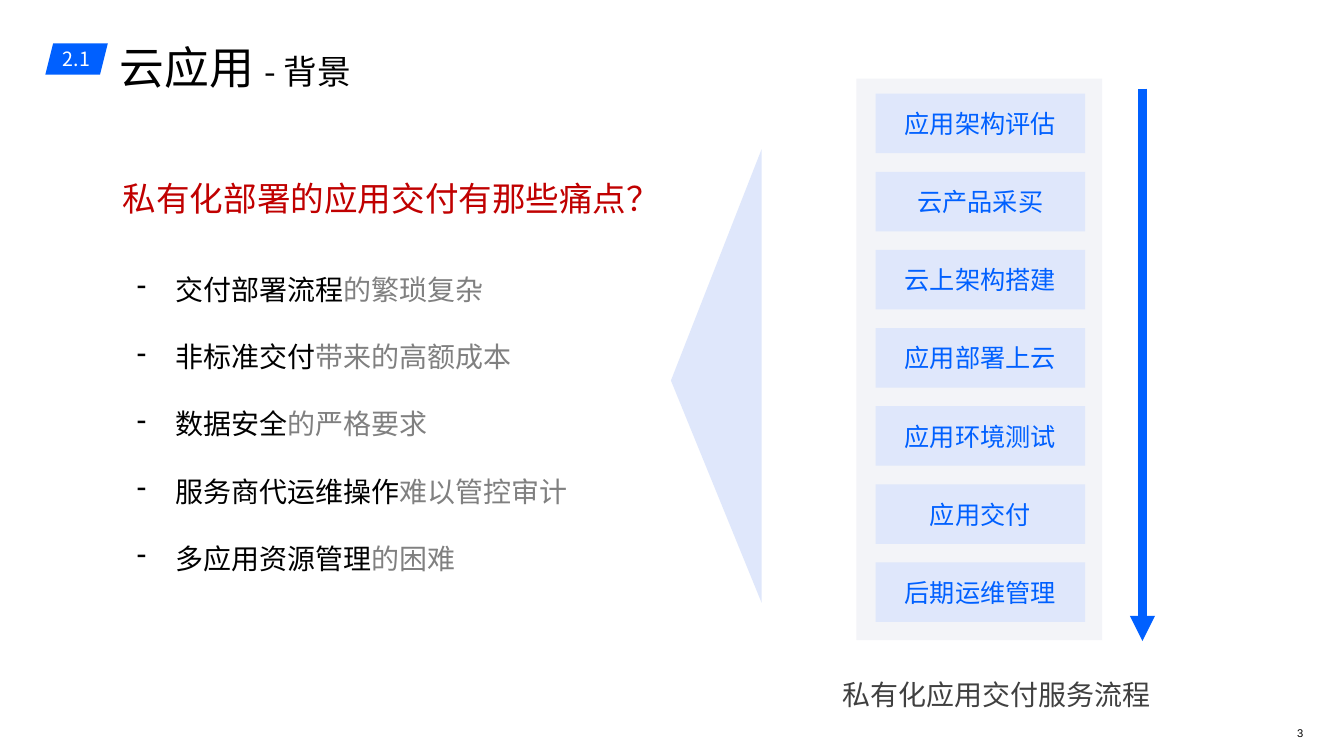
from lxml.etree import SubElement
from pptx import Presentation
from pptx.dml.color import RGBColor
from pptx.enum.shapes import MSO_CONNECTOR, MSO_SHAPE
from pptx.enum.text import MSO_ANCHOR, MSO_AUTO_SIZE, PP_ALIGN
from pptx.oxml.ns import qn
from pptx.util import Inches, Pt

BLUE, PALE, BLACK, GRAY = "0060FF", "DFE7FB", "000000", "808080"
CJK = "Noto Sans CJK JP"


def write(tf, paragraphs, inset=(0.1, 0.05), align=PP_ALIGN.LEFT, spacing=1.0,
          anchor=MSO_ANCHOR.TOP, fit=MSO_AUTO_SIZE.SHAPE_TO_FIT_TEXT,
          wrap=True, font=CJK, bullet=None):
    x, y = map(Inches, inset)
    frame = {"margin_left": x, "margin_right": x, "margin_top": y, "margin_bottom": y,
             "vertical_anchor": anchor, "auto_size": fit, "word_wrap": wrap}
    for name, value in frame.items():
        setattr(tf, name, value)
    for i, runs in enumerate(paragraphs):
        p = tf.add_paragraph() if i else tf.paragraphs[0]
        p.alignment, p.line_spacing = align, spacing
        if bullet:
            pPr = p._p.get_or_add_pPr()
            pPr.set("marL", str(Inches(0.38)))
            pPr.set("indent", str(-Inches(0.38)))
            SubElement(pPr, qn("a:buChar"), char=bullet)
        for text, size, color in runs:
            r = p.add_run()
            r.text = text
            for name, value in {"size": Pt(size), "name": font, "bold": False}.items():
                setattr(r.font, name, value)
            r.font.color.rgb = RGBColor.from_string(color)
            SubElement(r._r.get_or_add_rPr(), qn("a:ea"), typeface=font)


def block(kind, box, fill):
    sp = s.shapes.add_shape(kind, *map(Inches, box))
    sp.shadow.inherit = False
    sp.fill.solid()
    sp.fill.fore_color.rgb = RGBColor.from_string(fill)
    sp.line.fill.background()
    return sp


prs = Presentation()
prs.slide_width, prs.slide_height = Inches(13.34), Inches(7.5)
s = prs.slides.add_slide(prs.slide_layouts[5])

title = s.shapes.title
title.left, title.top, title.width, title.height = map(Inches, (1.19, 0.29, 4.67, 0.6))
write(title.text_frame, [[("云应用 ", 32, BLACK), ("- 背景", 24, BLACK)]],
      inset=(0, 0), spacing=1.2)

label = {"inset": (0.06, 0.06), "align": PP_ALIGN.CENTER,
         "anchor": MSO_ANCHOR.MIDDLE, "fit": MSO_AUTO_SIZE.NONE}
badge = block(MSO_SHAPE.PARALLELOGRAM, (0.45, 0.43, 0.62, 0.31), BLUE)
write(badge.text_frame, [[("2.1", 14, "FFFFFF")]], **label)

pains = [("交付部署流程", "的繁琐复杂"),
         ("非标准交付", "带来的高额成本"),
         ("数据安全", "的严格要求"),
         ("服务商代运维操作", "难以管控审计"),
         ("多应用资源管理", "的困难")]
texts = [
    ((1.12, 1.52, 5.55, 0.64), [[("私有化部署的应用交付有那些痛点？", 24, "C00000")]],
     {"spacing": 1.5}),
    ((1.26, 2.32, 6.3, 4.16), [[(a, 20, BLACK), (b, 20, GRAY)] for a, b in pains],
     {"spacing": 2.0, "bullet": "-"}),
    ((7.56, 6.51, 4.66, 0.55), [[("私有化应用交付服务流程", 20, "404040")]],
     {"spacing": 1.5, "align": PP_ALIGN.CENTER}),
    ((12.78, 7.15, 0.25, 0.25), [[("3", 8, BLACK)]],
     {"inset": (0.06, 0.06), "align": PP_ALIGN.CENTER, "wrap": False, "font": "Arial"}),
]
for box, paragraphs, options in texts:
    tb = s.shapes.add_textbox(*map(Inches, box))
    write(tb.text_frame, paragraphs, **options)

block(MSO_SHAPE.RECTANGLE, (8.5, 0.78, 2.44, 5.57), "F3F4F8")
steps = ["应用架构评估", "云产品采买", "云上架构搭建", "应用部署上云",
         "应用环境测试", "应用交付", "后期运维管理"]
pitch = 4.65 / (len(steps) - 1)
for i, step in enumerate(steps):
    sp = block(MSO_SHAPE.RECTANGLE, (8.69, 0.93 + i * pitch, 2.08, 0.59), PALE)
    write(sp.text_frame, [[(step, 18, BLUE)]], **label)

arrow = s.shapes.add_connector(MSO_CONNECTOR.STRAIGHT,
                               *map(Inches, (11.34, 0.88, 11.34, 6.36)))
arrow.line.color.rgb = RGBColor.from_string(BLUE)
arrow.line.width = Pt(6)
SubElement(arrow.line._get_or_add_ln(), qn("a:tailEnd"), type="triangle")
SubElement(arrow._element.spPr, qn("a:effectLst"))

pointer = block(MSO_SHAPE.ISOSCELES_TRIANGLE, (4.86, 3.28, 4.5, 0.9), PALE)
pointer.rotation = 270
pointer.adjustments[0] = 0.49

prs.save("out.pptx")
